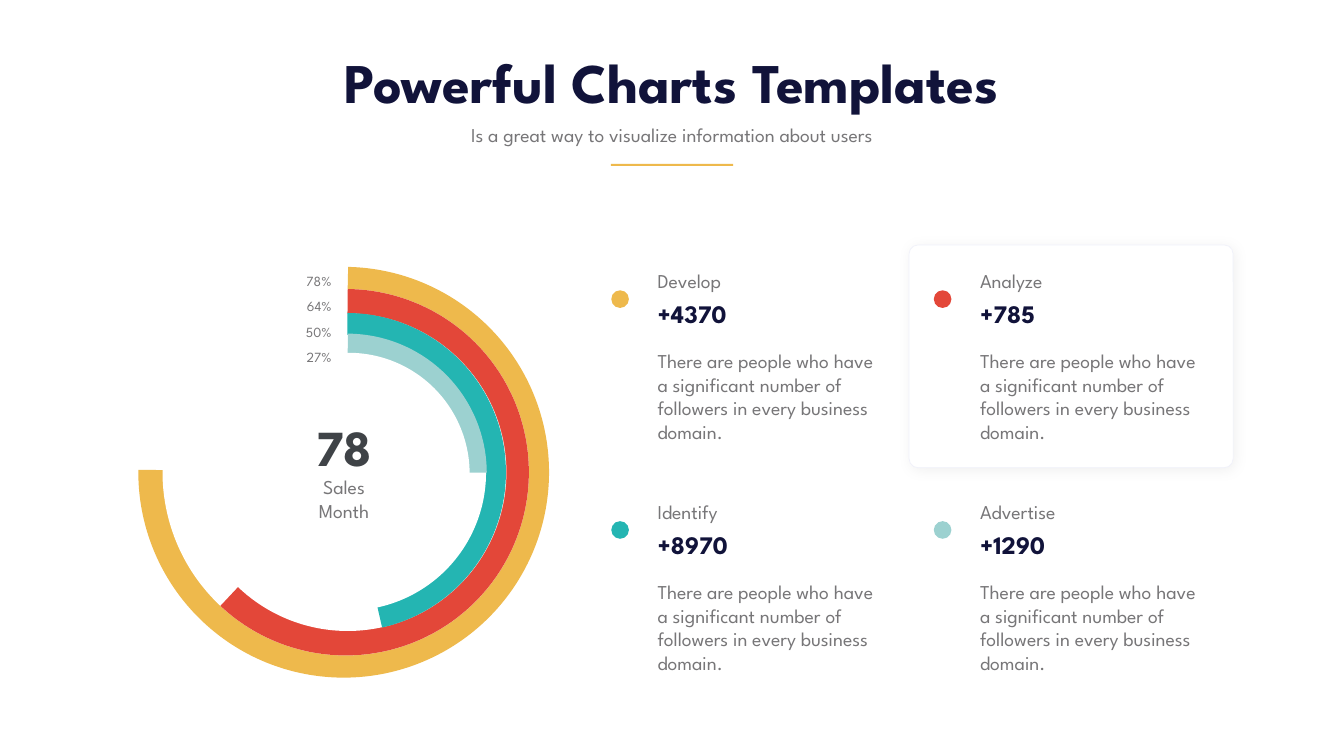
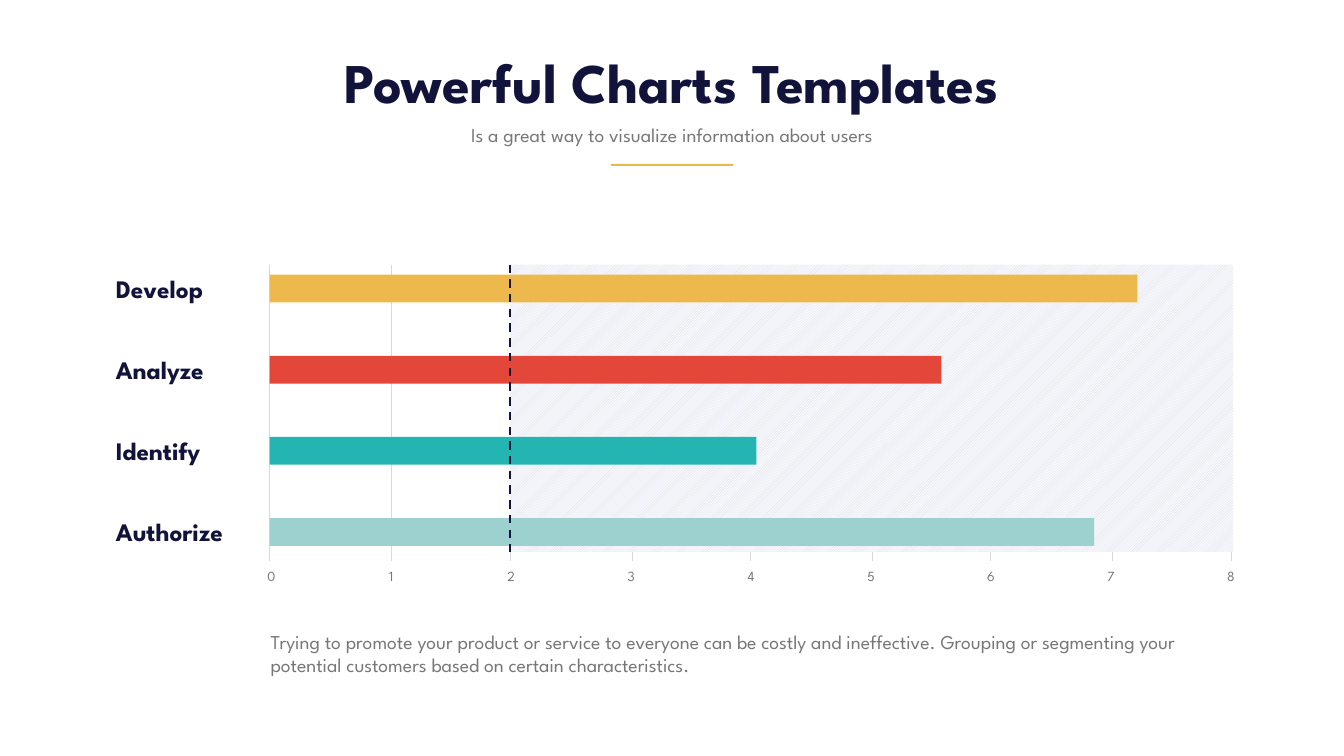
from lxml import etree
from pptx import Presentation
from pptx.dml.color import RGBColor
from pptx.enum.dml import MSO_LINE, MSO_PATTERN
from pptx.enum.shapes import MSO_CONNECTOR, MSO_SHAPE
from pptx.enum.text import MSO_ANCHOR as Anchor, MSO_AUTO_SIZE, PP_ALIGN as Align
from pptx.oxml import parse_xml
from pptx.oxml.ns import nsdecls, qn
from pptx.util import Inches, Pt

# Shared style
FONT = "League Spartan"
NAVY = RGBColor(0x11, 0x13, 0x3A)
GRAY = RGBColor(0x77, 0x76, 0x78)
CHARCOAL = RGBColor(0x3F, 0x43, 0x47)
WHITE = RGBColor(0xFF, 0xFF, 0xFF)
YELLOW = RGBColor(0xEE, 0xB9, 0x4C)
RED = RGBColor(0xE3, 0x47, 0x39)
TEAL = RGBColor(0x24, 0xB5, 0xB2)
MINT = RGBColor(0x9C, 0xD1, 0xD0)
GRID = RGBColor(0xD9, 0xD9, 0xD9)
PALE = RGBColor(0xF6, 0xF7, 0xFC)
CARD_EDGE = RGBColor(0xF0, 0xF1, 0xFA)

# Content
TITLE = "Powerful Charts Templates"
SUBTITLE = "Is a great way to visualize information about users"

# Label, colour, start and end degrees, arc (centre x, y, diameter), hole (same)
RINGS = [
    ("78%", YELLOW, 271.25, 180.68, (6.82, 9.37, 8.15), (6.86, 9.37, 7.27)),
    ("64%", RED, 270.65, 133.15, (6.86, 9.37, 7.27), (6.9, 9.37, 6.3)),
    ("50%", TEAL, 270.26, 77.15, (6.88, 9.37, 6.32), (6.91, 9.38, 5.47)),
    ("27%", MINT, 270.26, 359.75, (6.89, 9.39, 5.54), (6.92, 9.4, 4.8)),
]
METRIC_NOTE = ("There are people who have a significant number of "
               "followers in every business domain.")
# Name, value, colour; filled row by row
METRICS = [
    ("Develop", "+4370", YELLOW), ("Analyze", "+785", RED),
    ("Identify", "+8970", TEAL), ("Advertise", "+1290", MINT),
]
BARS = [
    ("Develop", 7.22, YELLOW), ("Analyze", 5.59, RED),
    ("Identify", 4.05, TEAL), ("Authorize", 6.86, MINT),
]
BAR_NOTE = ("Trying to promote your product or service to everyone can be costly "
            "and ineffective. Grouping or segmenting your potential customers "
            "based on certain characteristics.")


def write_text(shape, text, size=28, color=GRAY, bold=False, align=Align.LEFT,
               anchor=Anchor.TOP, inset=None):
    frame = shape.text_frame
    frame.word_wrap = True
    frame.auto_size = MSO_AUTO_SIZE.SHAPE_TO_FIT_TEXT
    frame.vertical_anchor = anchor
    if inset is not None:
        frame.margin_left = frame.margin_right = Inches(inset)
        frame.margin_top = frame.margin_bottom = Inches(inset)
    paragraph = frame.paragraphs[0]
    paragraph.alignment = align
    run = paragraph.add_run()
    run.text = text
    run.font.name = FONT
    run.font.size = Pt(size)
    run.font.bold = bold
    run.font.color.rgb = color


def add_text(slide, text, left, top, width, height, **style):
    box = slide.shapes.add_textbox(
        Inches(left), Inches(top), Inches(width), Inches(height))
    write_text(box, text, **style)


def add_filled(slide, kind, color, left, top, width, height):
    shape = slide.shapes.add_shape(
        kind, Inches(left), Inches(top), Inches(width), Inches(height))
    shape.shadow.inherit = False
    shape.fill.solid()
    shape.fill.fore_color.rgb = color
    shape.line.fill.background()
    return shape


def add_round(slide, kind, color, center_x, center_y, diameter):
    return add_filled(slide, kind, color, center_x - diameter / 2,
                      center_y - diameter / 2, diameter, diameter)


def add_vertical(slide, x, top, bottom, color, width):
    connector = slide.shapes.add_connector(
        MSO_CONNECTOR.STRAIGHT, Inches(x), Inches(top), Inches(x), Inches(bottom))
    connector.line.color.rgb = color
    connector.line.width = Pt(width)
    etree.SubElement(connector._element.spPr, qn("a:effectLst"))
    return connector


def add_titled_slide(presentation):
    slide = presentation.slides.add_slide(presentation.slide_layouts[5])
    title = slide.shapes.title
    title.left, title.top = Inches(3.88), Inches(0.9)
    title.width, title.height = Inches(18.9), Inches(1.45)
    write_text(title, TITLE, size=80, color=NAVY, bold=True, align=Align.CENTER)
    add_text(slide, SUBTITLE, 8.55, 2.38, 9.56, 0.57, align=Align.CENTER)
    add_filled(slide, MSO_SHAPE.RECTANGLE, YELLOW, 12.12, 3.25, 2.43, 0.04)
    return slide


def add_card(slide, left, top, width, height):
    card = add_filled(slide, MSO_SHAPE.ROUNDED_RECTANGLE, WHITE, left, top, width, height)
    card.adjustments[0] = 0.04
    card.line.color.rgb = CARD_EDGE
    card.line.width = Pt(1)
    card._element.spPr.find(qn("a:effectLst")).append(parse_xml(
        f'<a:outerShdw {nsdecls("a")} blurRad="{Pt(20)}" dist="{Pt(3)}" '
        'dir="2700000" algn="tl" rotWithShape="0">'
        '<a:srgbClr val="000000"><a:alpha val="5000"/></a:srgbClr></a:outerShdw>'))


def build_ring_slide(presentation):
    slide = add_titled_slide(presentation)

    # Rings, each a pie with a white hole
    for label, color, start, end, arc, hole in RINGS:
        pie = add_round(slide, MSO_SHAPE.PIE, color, *arc)
        # Pie angles are stored in 60000ths of a degree, adjustments in 100000ths
        pie.adjustments[0] = start * 0.6
        pie.adjustments[1] = end * 0.6
        add_round(slide, MSO_SHAPE.OVAL, WHITE, *hole)
    for index, ring in enumerate(RINGS):
        add_text(slide, ring[0], 5.58, 5.36 + 0.5 * index, 1.1, 0.44,
                 size=20, align=Align.RIGHT)

    # Ring centre
    add_round(slide, MSO_SHAPE.OVAL, WHITE, 6.83, 9.36, 3.1)
    centered = dict(align=Align.CENTER, anchor=Anchor.MIDDLE, inset=0.06)
    add_text(slide, "Sales Month", 5.99, 9.37, 1.67, 1.05, **centered)
    add_text(slide, "78", 5.36, 8.19, 2.94, 1.32, size=72, color=CHARCOAL,
             bold=True, **centered)

    # Metrics in two columns
    add_card(slide, 18.04, 4.86, 6.43, 4.42)
    for index, (name, value, color) in enumerate(METRICS):
        row, column = divmod(index, 2)
        left, top = 12.95 + 6.4 * column, 5.29 + 4.58 * row
        add_filled(slide, MSO_SHAPE.OVAL, color, left - 0.82, top + 0.47, 0.35, 0.35)
        add_text(slide, name, left, top, 3.51, 0.57)
        add_text(slide, value, left, top + 0.58, 3.51, 0.71,
                 size=36, color=NAVY, bold=True)
        add_text(slide, METRIC_NOTE, left, top + 1.59, 4.63, 1.99)


def build_bar_slide(presentation):
    slide = add_titled_slide(presentation)
    axis_left, unit, plot_top, threshold = 5.35, 2.385, 5.25, 10.12

    # Grid and scale
    for tick in range(9):
        pair, odd = divmod(tick, 2)
        add_vertical(slide, axis_left + 4.77 * pair + 2.42 * odd,
                     plot_top, 11.14, GRID, 1)
        add_text(slide, str(tick), 4.94 + 2.38 * tick, 11.22, 0.89, 0.37,
                 size=20, align=Align.CENTER)

    # Hatched zone beyond the threshold
    zone = add_filled(slide, MSO_SHAPE.RECTANGLE, PALE, threshold, plot_top, 14.35, 5.7)
    zone.fill.patterned()
    zone.fill.pattern = MSO_PATTERN.WIDE_UPWARD_DIAGONAL
    zone.fill.fore_color.rgb = GRID
    zone.fill.back_color.rgb = PALE

    # Bars and their names
    for index, (name, value, color) in enumerate(BARS):
        top = 5.45 + 1.61 * index
        add_text(slide, name, 2.2, top - 0.08, 3.42, 0.56,
                 size=36, color=NAVY, bold=True)
        add_filled(slide, MSO_SHAPE.RECTANGLE, color, axis_left, top, value * unit, 0.55)

    # Threshold and note
    marker = add_vertical(slide, threshold, plot_top, 10.95, NAVY, 3)
    marker.line.dash_style = MSO_LINE.DASH
    add_text(slide, BAR_NOTE, 5.27, 12.44, 19.2, 1.04)


def main():
    presentation = Presentation()
    presentation.slide_width = Inches(26.67)
    presentation.slide_height = Inches(15)
    build_ring_slide(presentation)
    build_bar_slide(presentation)
    presentation.save("out.pptx")


if __name__ == "__main__":
    main()
